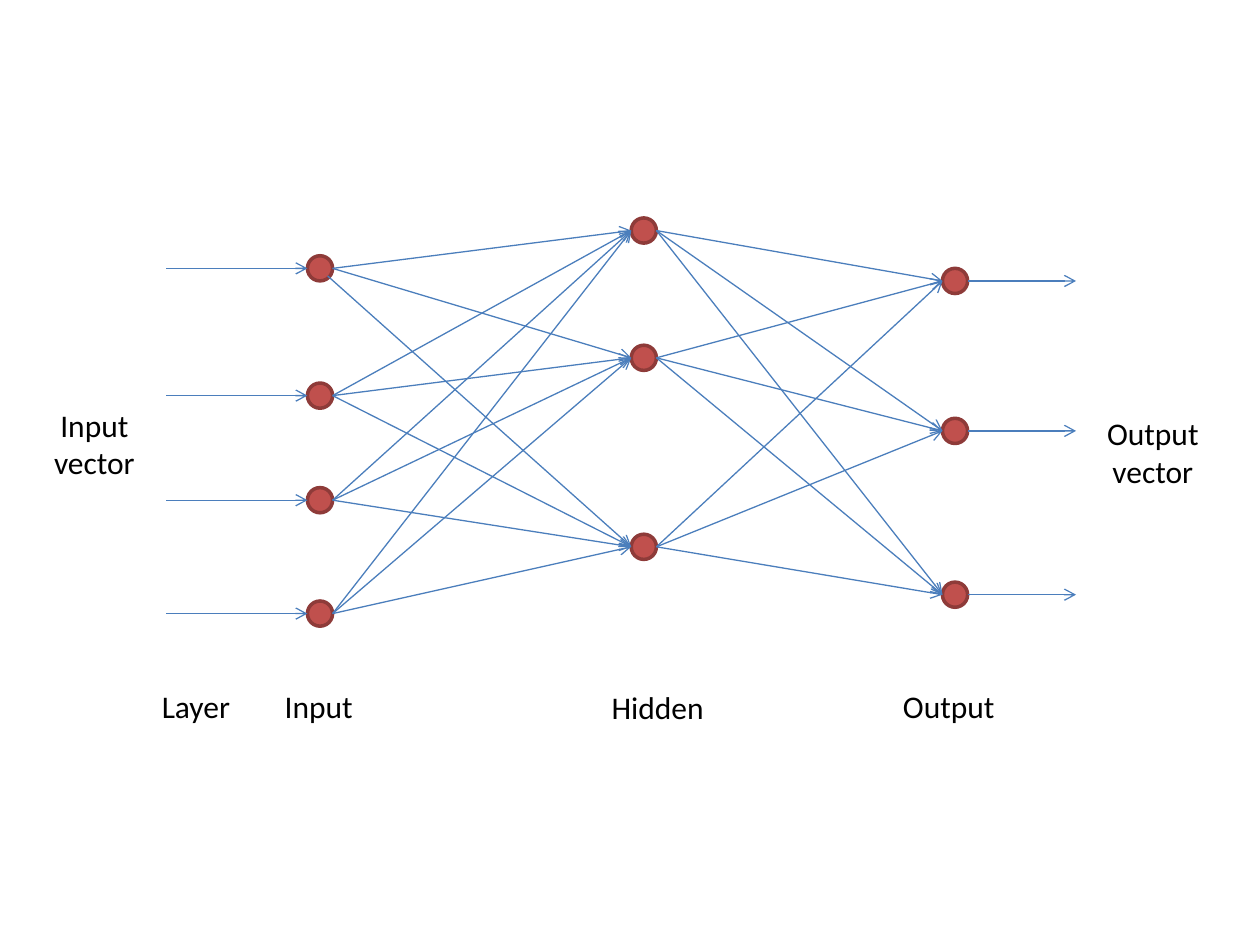
from itertools import product

from lxml import etree
from pptx import Presentation
from pptx.dml.color import RGBColor
from pptx.enum.shapes import MSO_CONNECTOR, MSO_SHAPE
from pptx.enum.text import MSO_AUTO_SIZE, PP_ALIGN
from pptx.oxml.ns import qn
from pptx.util import Inches, Pt

NODE = 0.2
RADIUS = NODE / 2
LABEL_WIDTH = 1.16
# Each layer: centre x, then the centre y of its nodes
INPUT = (2.54, (2.13, 3.14, 3.97, 4.87))
HIDDEN = (5.11, (1.83, 2.84, 4.34))
OUTPUT = (7.58, (2.23, 3.42, 4.72))


def paint(color_format, color):
    """Set a colour from a hex string."""
    color_format.rgb = RGBColor.from_string(color)


def add_arrow(slide, start, end):
    """Draw a thin blue arrow between two points."""
    arrow = slide.shapes.add_connector(
        MSO_CONNECTOR.STRAIGHT, *map(Inches, (*start, *end)))
    paint(arrow.line.color, "4B7EBC")
    arrow.line.width = Pt(0.75)
    etree.SubElement(arrow.line._get_or_add_ln(), qn("a:tailEnd"), type="arrow")
    etree.SubElement(arrow._element.spPr, qn("a:effectLst"))


def add_label(slide, left, top, text, width=LABEL_WIDTH):
    """Place centred text; each line becomes a paragraph."""
    lines = text.split("\n")
    box = slide.shapes.add_textbox(
        *map(Inches, (left, top, width, 0.1 + 0.3 * len(lines))))
    frame = box.text_frame
    frame.word_wrap = True
    frame.auto_size = MSO_AUTO_SIZE.SHAPE_TO_FIT_TEXT
    frame.text = text
    for paragraph in frame.paragraphs:
        paragraph.alignment = PP_ALIGN.CENTER
        paragraph.font.name = "Calibri"
        paragraph.font.size = Pt(18)
        paint(paragraph.font.color, "000000")


def add_layer(slide, layer):
    """Draw the round nodes of one layer."""
    x, centres = layer
    for y in centres:
        node = slide.shapes.add_shape(
            MSO_SHAPE.OVAL,
            *map(Inches, (x - RADIUS, y - RADIUS, NODE, NODE)))
        node.shadow.inherit = False
        node.fill.solid()
        paint(node.fill.fore_color, "C0504D")
        paint(node.line.color, "8E3B39")
        node.line.width = Pt(2)


def connect_layers(slide, source, target):
    """Join every node of one layer to every node of the next."""
    (x1, starts), (x2, ends) = source, target
    for y1, y2 in product(starts, ends):
        start = (x1 + RADIUS, y1)
        if source is INPUT and (y1, y2) == (starts[0], ends[-1]):
            start = (x1 + 0.06, y1 + 0.06)  # leaves from the lower right
        add_arrow(slide, start, (x2 - RADIUS, y2))


def add_vectors(slide):
    """Draw the arrows entering and leaving the network."""
    x, centres = INPUT
    for y in centres:
        add_arrow(slide, (1.32, y), (x - RADIUS, y))
    x, centres = OUTPUT
    for y in centres:
        add_arrow(slide, (x + RADIUS, y), (8.54, y))


def add_labels(slide):
    """Name the layers below and the vectors at either side."""
    add_label(slide, 0.77, 5.4, "Layer", 1.57)
    for left, top, text in (
            (1.95, 5.4, "Input"), (4.64, 5.41, "Hidden"), (6.95, 5.4, "Output"),
            (0.17, 3.17, "Input\nvector"), (8.57, 3.24, "Output\nvector")):
        add_label(slide, left, top, text)


def main():
    """Build the neural network slide."""
    deck = Presentation()
    deck.slide_width, deck.slide_height = Inches(10), Inches(7.5)
    slide = deck.slides.add_slide(deck.slide_layouts[6])
    for layer in (INPUT, HIDDEN, OUTPUT):
        add_layer(slide, layer)
    connect_layers(slide, INPUT, HIDDEN)
    connect_layers(slide, HIDDEN, OUTPUT)
    add_vectors(slide)
    add_labels(slide)
    deck.save("out.pptx")


main()
